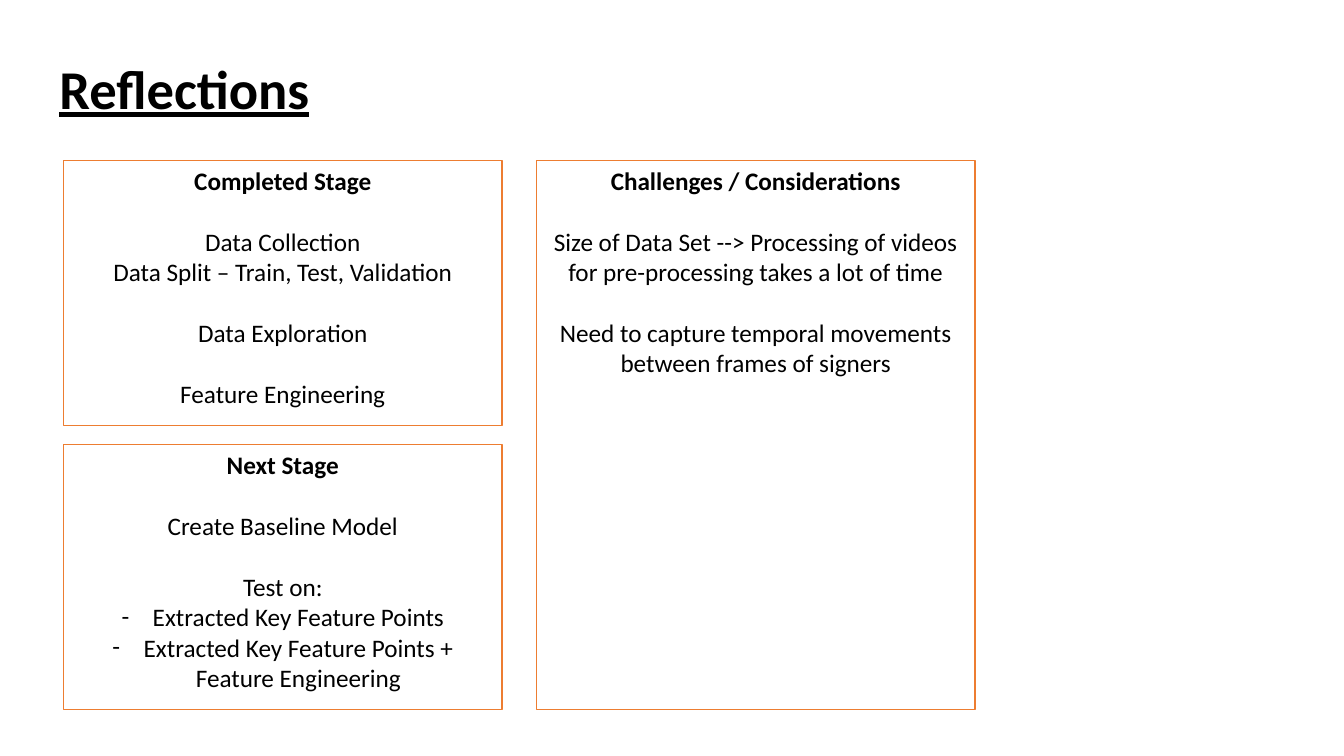
from lxml import etree
from pptx import Presentation
from pptx.dml.color import RGBColor
from pptx.enum.shapes import MSO_SHAPE
from pptx.enum.text import MSO_ANCHOR, PP_ALIGN
from pptx.oxml.ns import qn
from pptx.util import Inches, Pt

COLORS = {"text": "000000", "box": "FFFFFF", "border": "ED7D31"}
FONT = "Calibri"
BODY_SIZE = 18
LINE_GAP = 22  # one body line, in points

# Box grid
LEFT, RIGHT = 0.63, 5.32
TOP, LOWER = 1.59, 4.41
BOX_W, BOX_H = 4.35, 2.63
TALL_H = LOWER + BOX_H - TOP

# Each group of lines is set apart from the one above it
COMPLETED = [["Data Collection", "Data Split – Train, Test, Validation"],
             ["Data Exploration"], ["Feature Engineering"]]
NEXT = [["Create Baseline Model"], ["Test on:"]]
NEXT_TESTS = ["Extracted Key Feature Points",
              "Extracted Key Feature Points + Feature Engineering"]
CHALLENGES = [
    ["Size of Data Set --> Processing of videos for pre-processing takes a lot of time"],
    ["Need to capture temporal movements between frames of signers"]]


def rgb(name):
    return RGBColor.from_string(COLORS[name])


def add_bullet(p, char="-", indent=0.31):
    pPr = p._p.get_or_add_pPr()
    pPr.set("marL", str(Inches(indent)))
    pPr.set("indent", str(-Inches(indent)))
    etree.SubElement(pPr, qn("a:buFont")).set("typeface", FONT)
    etree.SubElement(pPr, qn("a:buChar")).set("char", char)


def write(tf, text, size=BODY_SIZE, bold=False, underline=False,
          align=PP_ALIGN.CENTER, before=0, spacing=None, bullet=False):
    first = tf.paragraphs[0]
    p = tf.add_paragraph() if first.runs else first
    p.alignment = align
    if before:
        p.space_before = Pt(before)
    if spacing:
        p.line_spacing = spacing
    if bullet:
        add_bullet(p)
    r = p.add_run()
    r.text = text
    r.font.name = FONT
    r.font.size = Pt(size)
    r.font.bold = bold
    r.font.underline = underline
    r.font.color.rgb = rgb("text")


def add_title(slide, text):
    s = slide.shapes.add_textbox(Inches(0.49), Inches(0.33), Inches(12.39), Inches(1.16))
    tf = s.text_frame
    tf.word_wrap = True
    tf.vertical_anchor = MSO_ANCHOR.MIDDLE
    write(tf, text, size=39, bold=True, underline=True, align=PP_ALIGN.LEFT, spacing=0.9)


def add_box(slide, x, y, height, heading, groups, bullets=()):
    s = slide.shapes.add_shape(MSO_SHAPE.RECTANGLE, Inches(x), Inches(y),
                               Inches(BOX_W), Inches(height))
    s.shadow.inherit = False
    s.fill.solid()
    s.fill.fore_color.rgb = rgb("box")
    s.line.color.rgb = rgb("border")
    s.line.width = Pt(1)
    tf = s.text_frame
    tf.word_wrap = True
    tf.vertical_anchor = MSO_ANCHOR.TOP
    write(tf, heading, bold=True)
    for group in groups:
        for i, line in enumerate(group):
            write(tf, line, before=0 if i else LINE_GAP)
    for line in bullets:
        write(tf, line, bullet=True)


def main():
    prs = Presentation()
    prs.slide_width, prs.slide_height = Inches(13.33), Inches(7.5)
    slide = prs.slides.add_slide(prs.slide_layouts[6])

    add_title(slide, "Reflections")
    # Left column: progress; right column: issues
    add_box(slide, LEFT, TOP, BOX_H, "Completed Stage", COMPLETED)
    add_box(slide, LEFT, LOWER, BOX_H, "Next Stage", NEXT, NEXT_TESTS)
    add_box(slide, RIGHT, TOP, TALL_H, "Challenges / Considerations", CHALLENGES)

    prs.save("out.pptx")


if __name__ == "__main__":
    main()
